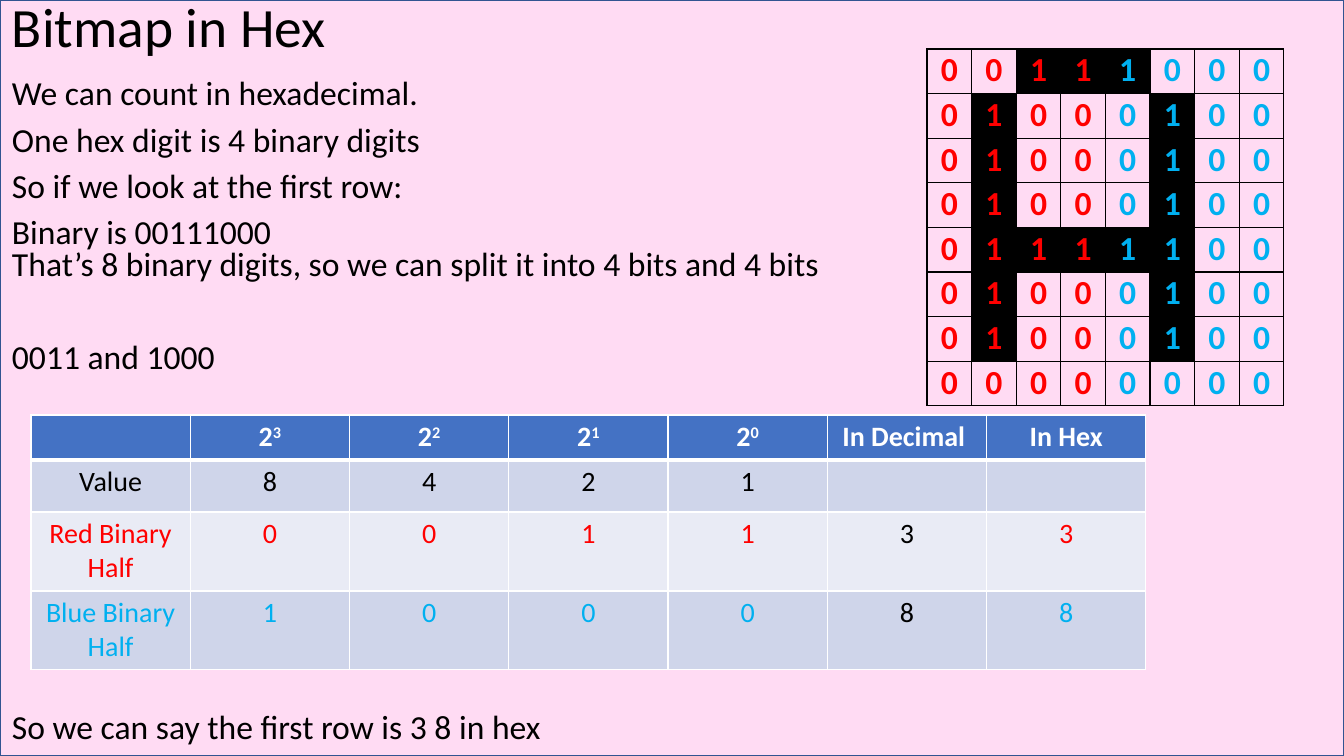
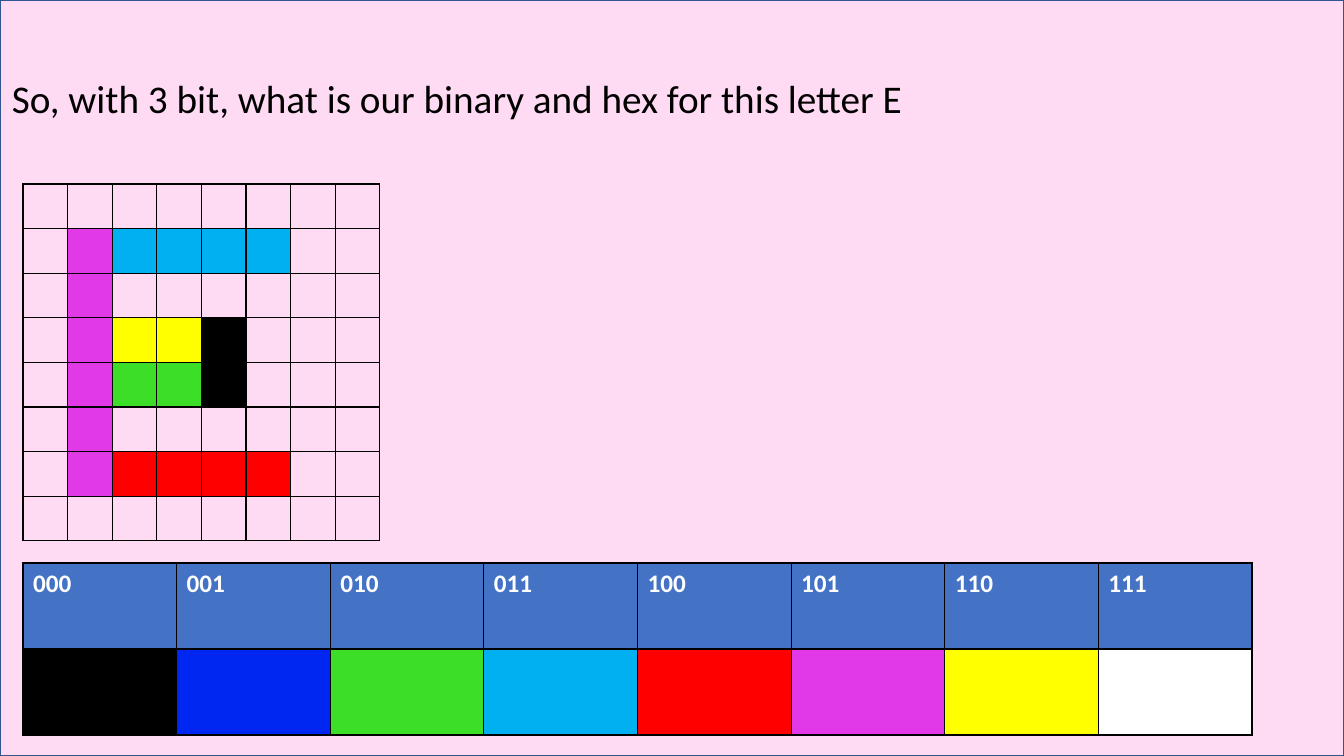
from dataclasses import dataclass

from lxml.etree import SubElement
from pptx import Presentation
from pptx.dml.color import RGBColor
from pptx.enum.shapes import MSO_SHAPE as Shape
from pptx.enum.text import MSO_ANCHOR as Anchor, PP_ALIGN as Align
from pptx.oxml.ns import qn
from pptx.util import Emu, Pt

EMU_PER_PX = 914400 / 100.8
SLIDE_WIDTH, SLIDE_HEIGHT = 1344, 756
GRID_SIZE = 357

COLORS = {
    "backdrop": "FF8AD8",
    "frame": "325491",
    "black": "000000",
    "white": "FFFFFF",
    "red": "FF0000",
    "cyan": "00B0F0",
    "blue": "0026F2",
    "green": "3DDE27",
    "magenta": "E139E5",
    "yellow": "FFFF00",
    "header": "4472C4",
    "band": "CFD5EA",
    "light_band": "E9EBF5",
}

CODE_COLORS = ["black", "blue", "green", "cyan", "red", "magenta", "yellow", "white"]

LETTER_A = [
    "00111000",
    "01000100",
    "01000100",
    "01000100",
    "01111100",
    "01000100",
    "01000100",
    "00000000",
]

LETTER_E = [
    "........",
    ".53333..",
    ".5......",
    ".5660...",
    ".5220...",
    ".5......",
    ".54444..",
    "........",
]

HEX_ROWS = [
    ("header", ["white"] * 7, ["", "2^3", "2^2", "2^1", "2^0", "In Decimal ", "In Hex"]),
    ("band", ["black"] * 7, ["Value", "8", "4", "2", "1", "", ""]),
    ("light_band", ["red"] * 5 + ["black", "red"],
     ["Red Binary Half", "0", "0", "1", "1", "3", "3"]),
    ("band", ["cyan"] * 5 + ["black", "cyan"],
     ["Blue Binary Half", "1", "0", "0", "0", "8", "8"]),
]


@dataclass
class Cell:
    text: str = ""
    fill: str = ""
    color: str = "black"
    bold: bool = False


def px(length):
    return Emu(round(length * EMU_PER_PX))


def rgb(name):
    return RGBColor.from_string(COLORS[name])


def write_text(frame, lines, size=24, color="black", bold=False, align=Align.LEFT,
               spacing=1.0, gaps=()):
    for index, line in enumerate(lines):
        paragraph = frame.paragraphs[0] if index == 0 else frame.add_paragraph()
        paragraph.alignment = align
        paragraph.line_spacing = spacing
        paragraph.space_before = Pt(gaps[index] if gaps else 0)
        base, _, exponent = line.partition("^")
        paragraph.text = base
        if exponent:
            run = paragraph.add_run()
            run.text = exponent
            run.font._element.set("baseline", "30000")
        for run in paragraph.runs:
            run.font.name = "Calibri"
            run.font.size = Pt(size)
            run.font.bold = bold
            run.font.color.rgb = rgb(color)


class Deck:
    def __init__(self):
        self.presentation = Presentation()
        self.presentation.slide_width = px(SLIDE_WIDTH)
        self.presentation.slide_height = px(SLIDE_HEIGHT)
        self.slide = None

    def new_slide(self):
        self.slide = self.presentation.slides.add_slide(self.presentation.slide_layouts[6])
        backdrop = self.slide.shapes.add_shape(
            Shape.RECTANGLE, 0, 0, px(SLIDE_WIDTH), px(SLIDE_HEIGHT))
        backdrop.shadow.inherit = False
        backdrop.fill.solid()
        backdrop.fill.fore_color.rgb = rgb("backdrop")
        color = backdrop._element.spPr.find(qn("a:solidFill")).find(qn("a:srgbClr"))
        SubElement(color, qn("a:alpha"), val="30000")
        backdrop.line.color.rgb = rgb("frame")
        backdrop.line.width = Pt(1)

    def text(self, left, top, width, height, lines, anchor=Anchor.TOP, **text_format):
        shape = self.slide.shapes.add_textbox(px(left), px(top), px(width), px(height))
        frame = shape.text_frame
        frame.word_wrap = True
        frame.vertical_anchor = anchor
        frame.margin_left = frame.margin_right = px(10)
        frame.margin_top = frame.margin_bottom = px(5)
        write_text(frame, lines, **text_format)

    def title(self, words):
        self.text(2, 0, 1342, 60, [words], anchor=Anchor.MIDDLE, size=39.6, spacing=0.9)

    def border(self, cell, color, **widths):
        properties = cell._tc.get_or_add_tcPr()
        for side in "LRTB":
            width = Pt(widths.get(side, 1))
            line = SubElement(properties, qn(f"a:ln{side}"), w=str(width))
            fill = SubElement(line, qn("a:solidFill"))
            SubElement(fill, qn("a:srgbClr"), val=COLORS[color])

    def table(self, left, top, width, row_heights, rows, border="black", header_rule=1,
              inset=None, **text_format):
        columns = len(rows[0])
        table = self.slide.shapes.add_table(
            len(rows), columns, px(left), px(top), px(width), px(sum(row_heights))).table
        table.first_row = table.horz_banding = False
        for column in table.columns:
            column.width = px(width / columns)
        for row_index, (height, row) in enumerate(zip(row_heights, rows)):
            table.rows[row_index].height = px(height)
            rules = {0: {"B": header_rule}, 1: {"T": header_rule}}.get(row_index, {})
            for column_index, content in enumerate(row):
                cell = table.cell(row_index, column_index)
                self.border(cell, border, **rules)
                if content.fill:
                    cell.fill.solid()
                    cell.fill.fore_color.rgb = rgb(content.fill)
                else:
                    cell.fill.background()
                if inset is not None:
                    cell.margin_left = cell.margin_right = px(inset)
                    cell.margin_top = cell.margin_bottom = px(inset)
                if content.text:
                    write_text(cell.text_frame, [content.text], color=content.color,
                               bold=content.bold, **text_format)

    def pixel_grid(self, left, top, rows):
        heights = [GRID_SIZE / len(rows)] * len(rows)
        self.table(left, top, GRID_SIZE, heights, rows, inset=1, size=24, align=Align.CENTER)


def bitmap_slide(deck):
    deck.new_slide()
    deck.title("Bitmap in Hex")
    deck.text(2, 75, 910, 310, [
        "We can count in hexadecimal.",
        "One hex digit is 4 binary digits",
        "So if we look at the first row:",
        "Binary is 00111000\vThat’s 8 binary digits, so we can split it into 4 bits and 4 bits",
        "0011 and 1000",
    ], spacing=0.8, gaps=[0, 10, 10, 10, 43])
    deck.text(2, 709, 1342, 45, ["So we can say the first row is 3 8 in hex"], spacing=0.8)
    deck.pixel_grid(927, 49, [
        [Cell(bit, "black" if bit == "1" else "", "red" if index < 4 else "cyan", True)
         for index, bit in enumerate(bits)]
        for bits in LETTER_A
    ])
    deck.table(31, 415, 1115, [45, 52, 79, 79], [
        [Cell(text, fill, color, fill == "header") for text, color in zip(texts, colors)]
        for fill, colors, texts in HEX_ROWS
    ], border="white", header_rule=3, size=20, align=Align.CENTER)


def color_code_slide(deck):
    deck.new_slide()
    deck.text(2, 75, 1342, 60,
              ["So, with 3 bit, what is our binary and hex for this letter E"],
              size=28, spacing=0.9)
    deck.pixel_grid(23, 184, [
        [Cell(fill="" if code == "." else CODE_COLORS[int(code)]) for code in codes]
        for codes in LETTER_E
    ])
    deck.table(23, 563, 1229, [86, 86], [
        [Cell(f"{code:03b}", "header", "white", True) for code in range(len(CODE_COLORS))],
        [Cell(fill=color) for color in CODE_COLORS],
    ], size=18)


def main():
    deck = Deck()
    bitmap_slide(deck)
    color_code_slide(deck)
    deck.presentation.save("out.pptx")


if __name__ == "__main__":
    main()
